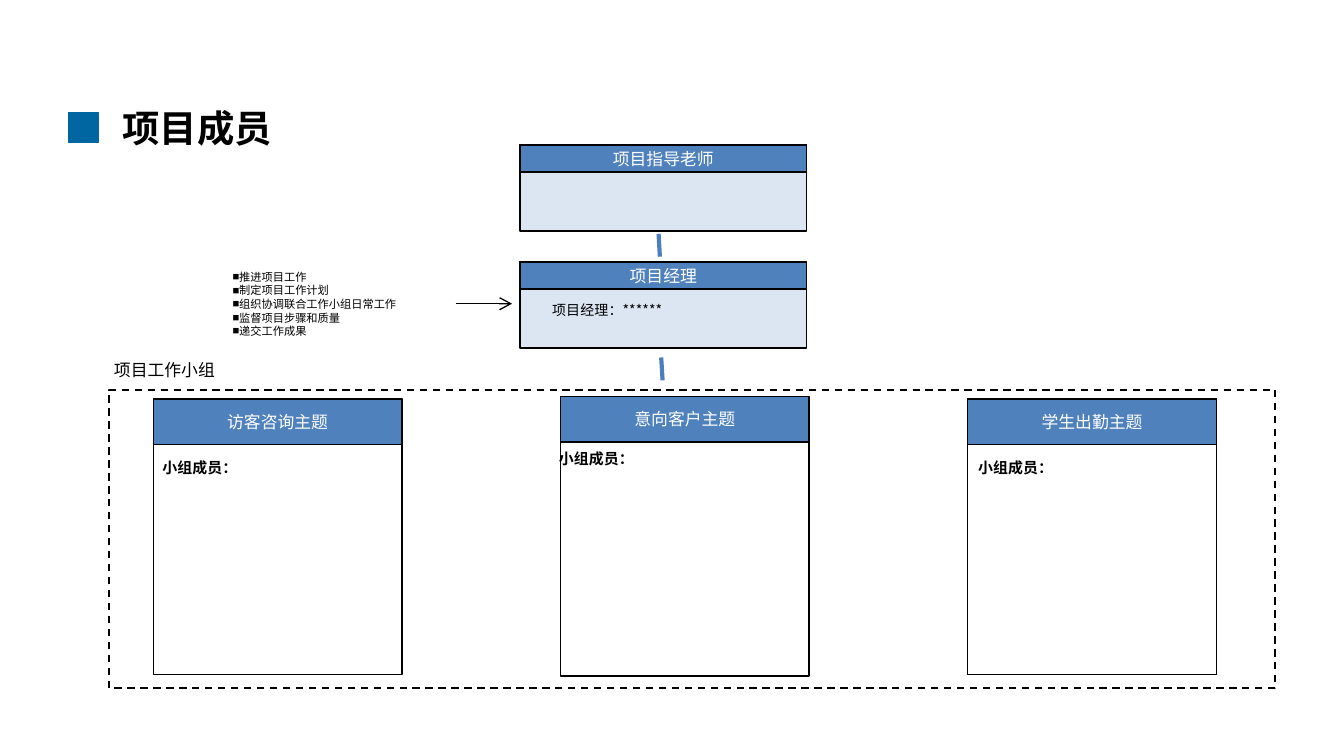
from lxml import etree
from pptx import Presentation
from pptx.dml.color import RGBColor
from pptx.enum.dml import MSO_LINE
from pptx.enum.shapes import MSO_CONNECTOR, MSO_SHAPE
from pptx.enum.text import MSO_ANCHOR, MSO_AUTO_SIZE, PP_ALIGN
from pptx.oxml.ns import qn
from pptx.util import Inches, Pt

FONT = "Noto Sans CJK SC"
BLACK = RGBColor(0x00, 0x00, 0x00)
WHITE = RGBColor(0xFF, 0xFF, 0xFF)
HEADER_BLUE = RGBColor(0x4F, 0x81, 0xBD)
LINK_BLUE = RGBColor(0x4B, 0x7E, 0xBC)
PALE_BLUE = RGBColor(0xDC, 0xE6, 0xF2)
MARK_BLUE = RGBColor(0x00, 0x66, 0xA1)
RECTANGLE = MSO_SHAPE.RECTANGLE
STRAIGHT = MSO_CONNECTOR.STRAIGHT
DASH = MSO_LINE.DASH
MIDDLE = MSO_ANCHOR.MIDDLE
TOP = MSO_ANCHOR.TOP
LEFT = PP_ALIGN.LEFT
CENTER = PP_ALIGN.CENTER
NO_FIT = MSO_AUTO_SIZE.NONE

DUTIES = ["推进项目工作", "制定项目工作计划", "组织协调联合工作小组日常工作",
          "监督项目步骤和质量", "递交工作成果"]
CARD_WIDTH, CARD_HEIGHT, CARD_HEADER = 1.85, 2.05, 0.34
BOX_WIDTH, BOX_HEIGHT, BOX_HEADER = 2.13, 0.64, 0.2


def place(shape, left, top, width, height):
    """Move and size a shape in inches."""
    shape.left, shape.top = Inches(left), Inches(top)
    shape.width, shape.height = Inches(width), Inches(height)


def write(para, text, size, color=BLACK, bold=False, align=LEFT):
    """Add one formatted run to a paragraph."""
    para.alignment = align
    span = para.add_run()
    span.text = text
    span.font.size = Pt(size)
    span.font.bold = bold
    span.font.name = FONT
    span.font.color.rgb = color
    east_asian = etree.SubElement(span.font._element, qn("a:ea"))
    east_asian.set("typeface", FONT)


def add_rectangle(page, left, top, width, height, fill=None, line=BLACK, weight=0.75):
    """Add an outlined rectangle, filled if a colour is given."""
    box = page.shapes.add_shape(
        RECTANGLE, Inches(left), Inches(top), Inches(width), Inches(height))
    box.shadow.inherit = False
    if fill is None:
        box.fill.background()
    else:
        box.fill.solid()
        box.fill.fore_color.rgb = fill
    box.line.color.rgb = line
    box.line.width = Pt(weight)
    return box


def add_header(page, left, top, width, height, text):
    """Add a blue header bar with centred white text."""
    bar = add_rectangle(page, left, top, width, height, HEADER_BLUE)
    frame = bar.text_frame
    frame.margin_top = frame.margin_bottom = 0
    frame.vertical_anchor = MIDDLE
    write(frame.paragraphs[0], text, 9, WHITE, align=CENTER)


def add_label(page, left, top, width, height, text, size, bold=False):
    """Add a one-line text box."""
    box = page.shapes.add_textbox(
        Inches(left), Inches(top), Inches(width), Inches(height))
    box.text_frame.word_wrap = True
    box.text_frame.vertical_anchor = MIDDLE
    write(box.text_frame.paragraphs[0], text, size, bold=bold)


def add_line(page, start, end, color, weight, arrow=False):
    """Add a straight connector, with an arrowhead at its end if asked."""
    link = page.shapes.add_connector(
        STRAIGHT, *(Inches(value) for value in (*start, *end)))
    link.line.color.rgb = color
    link.line.width = Pt(weight)
    properties = link._element.spPr
    if arrow:
        head = etree.SubElement(properties.find(qn("a:ln")), qn("a:tailEnd"))
        head.set("type", "arrow")
    etree.SubElement(properties, qn("a:effectLst"))


def add_title(page, left, top):
    """Place the slide title and its mark of four square tiles."""
    tile = 0.11
    for row in range(2):
        for column in range(2):
            add_rectangle(page, left + column * tile, top + 0.11 + row * tile,
                          tile, tile, MARK_BLUE, MARK_BLUE, 0.5)
    title = page.shapes.title
    place(title, left + 0.3, top, 6.54, 0.44)
    title.text_frame.auto_size = NO_FIT
    title.text_frame.vertical_anchor = MIDDLE
    write(title.text_frame.paragraphs[0], "项目成员", 20, bold=True)


def add_duties(page, left, top):
    """Place the manager's duty list and the arrow to the manager."""
    body = page.placeholders[1]
    place(body, left, top, 1.44, 0.61)
    frame = body.text_frame
    frame.auto_size = NO_FIT
    frame.word_wrap = False
    frame.vertical_anchor = TOP
    for index, duty in enumerate(DUTIES):
        para = frame.add_paragraph() if index else frame.paragraphs[0]
        para.space_before = Pt(0)
        para.line_spacing = Pt(7.25)
        properties = para._p.get_or_add_pPr()
        properties.set("marL", "0")
        properties.set("indent", "0")
        etree.SubElement(properties, qn("a:buChar")).set("char", "■")
        write(para, duty, 6)
    add_line(page, (left + 1.76, top + 0.3), (left + 2.18, top + 0.3), BLACK, 0.75, True)


def add_role(page, left, top, heading, detail=None):
    """Place a role box with its header and optional detail."""
    add_rectangle(page, left, top, BOX_WIDTH, BOX_HEIGHT, PALE_BLUE)
    add_header(page, left, top, BOX_WIDTH, BOX_HEADER, heading)
    if detail:
        add_label(page, left + 0.14, top + 0.24, 2.1, 0.23, detail, 7.5)


def add_card(page, left, top, heading, rise, label_left, label_top):
    """Place a group card with its header, raised if asked, and member label."""
    add_rectangle(page, left, top, CARD_WIDTH, CARD_HEIGHT)
    add_header(page, left, top - rise, CARD_WIDTH, CARD_HEADER, heading)
    add_label(page, left + label_left, top + label_top, CARD_WIDTH, 0.24,
              "小组成员：", 8, bold=True)


def add_work_group(page, left, top, width, height):
    """Place the dashed work group frame, its caption and its cards."""
    add_label(page, left - 0.06, top - 0.27, 1.3, 0.25, "项目工作小组", 9)
    frame = add_rectangle(page, left, top, width, height, weight=1)
    frame.line.dash_style = DASH
    cards = [("访客咨询主题", 0.07, 0, -0.03, 0.39),
             ("意向客户主题", 0.08, 0.03, -0.11, 0.31),
             ("学生出勤主题", 0.07, 0, -0.02, 0.39)]
    for index, (heading, offset, rise, label_left, label_top) in enumerate(cards):
        add_card(page, left + 0.33 + index * 3.03, top + offset,
                 heading, rise, label_left, label_top)


def main():
    """Build and save the project members slide."""
    deck = Presentation()
    deck.slide_width = Inches(10)
    deck.slide_height = deck.slide_width * 9 // 16
    page = deck.slides.add_slide(deck.slide_layouts[1])
    add_title(page, 0.51, 0.73)
    add_role(page, 3.87, 1.08, "项目指导老师")
    add_line(page, (4.9, 1.74), (4.91, 1.91), LINK_BLUE, 2.25)
    add_role(page, 3.87, 1.95, "项目经理", "项目经理：******")
    add_line(page, (4.92, 2.66), (4.93, 2.83), LINK_BLUE, 2.25)
    add_duties(page, 1.63, 1.96)
    add_work_group(page, 0.81, 2.9, 8.68, 2.22)
    deck.save("out.pptx")


if __name__ == "__main__":
    main()
